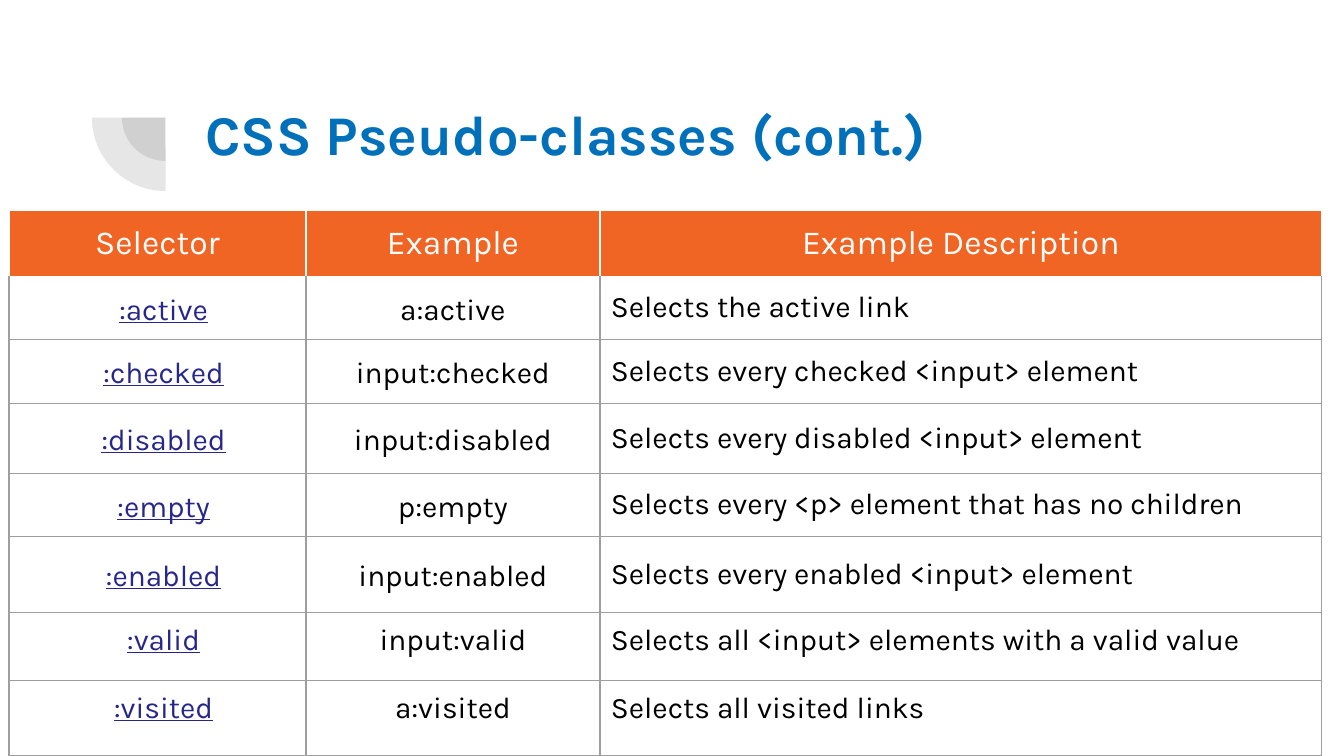
from typing import NamedTuple

from lxml.etree import SubElement
from pptx import Presentation
from pptx.dml.color import RGBColor as RGB
from pptx.enum.shapes import MSO_SHAPE as Geo
from pptx.enum.text import MSO_ANCHOR as Anchor, PP_ALIGN as Align
from pptx.oxml.ns import qn
from pptx.util import Emu, Pt

SCALE = 914400 / 134.4
FONT = "Karla"
GREY, WHITE, BLACK = "9E9E9E", "FFFFFF", "000000"
ORANGE, BLUE, NAVY, DARK = "F16524", "0170BA", "27278B", "424242"


class Pie(NamedTuple):
    left: int
    top: int
    size: int


class Row(NamedTuple):
    height: int
    texts: tuple[str, str, str]
    mid: bool = True


PIES = [Pie(122, 74, 87), Pie(92, 44, 147)]
COLS = [297, 294, 722]
ROWS = [
    Row(65, ("Selector", "Example", "Example Description")),
    Row(62, (":active", "a:active", "Selects the active link")),
    Row(64, (":checked", "input:checked", "Selects every checked <input> element")),
    Row(70, (":disabled", "input:disabled", "Selects every disabled <input> element")),
    Row(62, (":empty", "p:empty", "Selects every <p> element that has no children")),
    Row(76, (":enabled", "input:enabled", "Selects every enabled <input> element")),
    Row(68, (":valid", "input:valid", "Selects all <input> elements with a valid value"), False),
    Row(75, (":visited", "a:visited", "Selects all visited links"), False),
]


def px(n: int) -> Emu:
    return Emu(round(n * SCALE))


def rgb(tint: str) -> RGB:
    return RGB.from_string(tint)


def style(para, size: int, tint: str, bold: bool = False, under: bool = False) -> None:
    font = para.runs[0].font
    font.name, font.size = FONT, Pt(size)
    font.bold, font.underline = bold, under
    font.color.rgb = rgb(tint)


def inset(box, left: int, rest: int) -> None:
    box.margin_left = px(left)
    box.margin_top = box.margin_right = box.margin_bottom = px(rest)


def edge(cell, sides: dict[str, str]) -> None:
    """Border lines go ahead of the fill in the cell properties."""
    props = cell._tc.get_or_add_tcPr()
    for i, (side, tint) in enumerate(sides.items()):
        line = SubElement(props, qn(f"a:ln{side}"), w=str(Pt(0.75)))
        fill = SubElement(line, qn("a:solidFill"))
        SubElement(fill, qn("a:srgbClr"), val=tint)
        props.insert(i, line)


def draw_pie(shapes, pie: Pie) -> None:
    shape = shapes.add_shape(Geo.PIE, px(pie.left), px(pie.top), px(pie.size), px(pie.size))
    shape.adjustments[0], shape.adjustments[1] = 107.93, 162
    shape.rotation = 270
    shape.shadow.inherit = False
    shape.line.fill.background()
    shape.fill.solid()
    shape.fill.fore_color.rgb = rgb(DARK)
    tint = shape._element.spPr.find(qn("a:solidFill"))[0]
    SubElement(tint, qn("a:alpha"), val="13000")


def draw_title(shapes, text: str) -> None:
    box = shapes.add_textbox(px(192), px(87), px(1152), px(98))
    frame = box.text_frame
    frame.word_wrap = True
    inset(frame, 13, 13)
    frame.text = text
    frame.paragraphs[0].space_after = Pt(16)
    style(frame.paragraphs[0], 30, BLUE, bold=True)


def fill_cell(cell, row: Row, r: int, c: int) -> None:
    head = r == 0
    cell.text_frame.text = row.texts[c]
    para = cell.text_frame.paragraphs[0]
    para.alignment = Align.CENTER if head or c < 2 else Align.LEFT
    cell.vertical_anchor = Anchor.MIDDLE if row.mid else Anchor.TOP
    if head:
        inset(cell, 13, 13)
        style(para, 18, WHITE)
        cell.fill.solid()
        cell.fill.fore_color.rgb = rgb(ORANGE)
    else:
        inset(cell, 23 if c == 0 else 11, 11)
        style(para, 16, NAVY if c == 0 else BLACK, under=c == 0)
        cell.fill.background()
        if row.mid and c < 2:
            para.line_spacing = 1.15
    side = WHITE if head else GREY
    edge(cell, {"L": side, "R": side, "T": WHITE if r < 2 else GREY, "B": side})


def draw_table(shapes) -> None:
    high = sum(row.height for row in ROWS)
    table = shapes.add_table(len(ROWS), len(COLS), px(9), px(210), px(sum(COLS)), px(high)).table
    table.horz_banding = False
    for col, wide in zip(table.columns, COLS):
        col.width = px(wide)
    for r, row in enumerate(ROWS):
        table.rows[r].height = px(row.height)
        for c in range(len(COLS)):
            fill_cell(table.cell(r, c), row, r, c)


def main() -> None:
    deck = Presentation()
    deck.slide_width, deck.slide_height = px(1344), px(756)
    shapes = deck.slides.add_slide(deck.slide_layouts[6]).shapes

    # Corner mark
    for pie in PIES:
        draw_pie(shapes, pie)

    # Heading and selector table
    draw_title(shapes, "CSS Pseudo-classes (cont.)")
    draw_table(shapes)
    deck.save("out.pptx")


if __name__ == "__main__":
    main()
